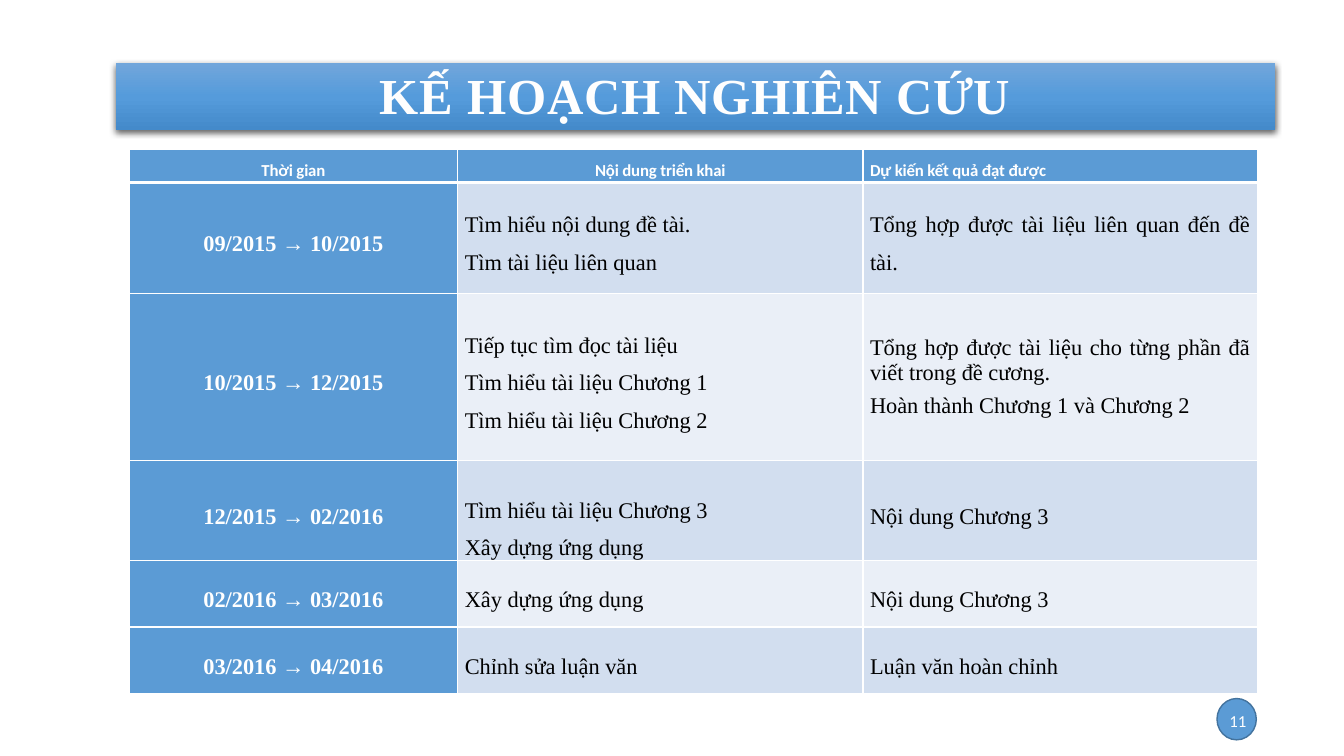
from lxml.etree import SubElement
from pptx import Presentation
from pptx.dml.color import RGBColor
from pptx.enum.shapes import MSO_SHAPE
from pptx.enum.text import MSO_ANCHOR, PP_ALIGN
from pptx.oxml import parse_xml
from pptx.oxml.ns import nsdecls, qn
from pptx.util import Inches, Pt

BLUE, WHITE, BLACK = "5B9BD5", "FFFFFF", "000000"
BANDS = ["D2DEEF", "EAEFF7"]
SERIF, SANS = "Times New Roman", "Calibri"

HEADINGS = ["Thời gian", "Nội dung triển khai", "Dự kiến kết quả đạt được"]
PLAN = [
    ("09/2015 → 10/2015",
     ["Tìm hiểu nội dung đề tài.", "Tìm tài liệu liên quan"],
     ["Tổng hợp được tài liệu liên quan đến đề tài."]),
    ("10/2015 → 12/2015",
     ["Tiếp tục tìm đọc tài liệu", "Tìm hiểu tài liệu Chương 1",
      "Tìm hiểu tài liệu Chương 2"],
     ["Tổng hợp được tài liệu cho từng phần đã viết trong đề cương.",
      "Hoàn thành Chương 1 và Chương 2"]),
    ("12/2015 → 02/2016",
     ["Tìm hiểu tài liệu Chương 3", "Xây dựng ứng dụng"],
     ["Nội dung Chương 3"]),
    ("02/2016 → 03/2016", ["Xây dựng ứng dụng"], ["Nội dung Chương 3"]),
    ("03/2016 → 04/2016", ["Chỉnh sửa luận văn"], ["Luận văn hoàn chỉnh"]),
]
COLUMN_WIDTHS = [3.26, 4.02, 3.91]
ROW_HEIGHTS = [0.33, 1.1, 1.66, 0.93, 0.66, 0.66]


def rgb(color):
    return RGBColor.from_string(color)


def write_paragraphs(frame, lines, size, color, font=SERIF, bold=False,
                     align=PP_ALIGN.LEFT, line_spacing=1.0, space_before=0):
    frame.word_wrap = True
    for index, line in enumerate(lines):
        paragraph = frame.add_paragraph() if index else frame.paragraphs[0]
        paragraph.alignment = align
        paragraph.line_spacing = line_spacing
        paragraph.space_before = Pt(space_before)
        run = paragraph.add_run()
        run.text = line
        run.font.name = font
        run.font.size = Pt(size)
        run.font.bold = bold
        run.font.color.rgb = rgb(color)


def space_letters(paragraph, points):
    for run in paragraph.runs:
        run.font._element.set("spc", str(round(points * 100)))


def line_xml(tag, color, points):
    return parse_xml(
        f'<a:{tag} {nsdecls("a")} w="{Pt(points)}"><a:solidFill>'
        f'<a:srgbClr val="{color}"/></a:solidFill></a:{tag}>')


def fill_gradient(shape, stops):
    shape.fill.gradient()
    shape.fill.gradient_angle = 270
    stop_list = shape._element.spPr.find(".//" + qn("a:gsLst"))
    for stop in list(stop_list):
        stop_list.remove(stop)
    for position, color in stops:
        stop = SubElement(stop_list, qn("a:gs"), pos=str(position * 1000))
        SubElement(stop, qn("a:srgbClr"), val=color)


def add_drop_shadow(shape):
    shape.shadow.inherit = False
    effects = shape._element.spPr.find(qn("a:effectLst"))
    effects.append(parse_xml(
        f'<a:outerShdw {nsdecls("a")} blurRad="{Pt(4.5)}" dist="{Pt(1.5)}" '
        'dir="5400000" algn="ctr" rotWithShape="0"><a:srgbClr val="000000">'
        '<a:alpha val="63000"/></a:srgbClr></a:outerShdw>'))


def add_title_banner(slide, title):
    banner = slide.shapes.add_shape(MSO_SHAPE.RECTANGLE, Inches(1.15),
                                    Inches(0.63), Inches(11.5), Inches(0.66))
    fill_gradient(banner, [(0, "71A6DB"), (50, "559BDB"), (100, "448ACA")])
    banner.line.fill.background()
    add_drop_shadow(banner)
    frame = banner.text_frame
    frame.vertical_anchor = MSO_ANCHOR.BOTTOM
    write_paragraphs(frame, [title], 36, "FEFEFE", bold=True,
                     align=PP_ALIGN.CENTER, line_spacing=0.9)
    paragraph = frame.paragraphs[0]
    space_letters(paragraph, 0.5)
    paragraph.runs[0].font._element.insert(0, line_xml("ln", BLUE, 0.75))


def add_page_number(slide, number):
    circle = slide.shapes.add_shape(MSO_SHAPE.OVAL, Inches(12.07),
                                    Inches(6.93), Inches(0.39), Inches(0.41))
    circle.shadow.inherit = False
    circle.fill.solid()
    circle.fill.fore_color.rgb = rgb(BLUE)
    circle.line.color.rgb = rgb("43739E")
    circle.line.width = Pt(1)
    box = slide.shapes.add_textbox(Inches(9.46), Inches(6.95),
                                   Inches(3), Inches(0.4))
    box.text_frame.vertical_anchor = MSO_ANCHOR.MIDDLE
    write_paragraphs(box.text_frame, [number], 12, WHITE, font=SANS,
                     align=PP_ALIGN.RIGHT)


def style_cell(cell, color, top=1, bottom=1):
    """Set fill, margins and white borders; top and bottom are in points."""
    cell.fill.solid()
    cell.fill.fore_color.rgb = rgb(color)
    cell.vertical_anchor = MSO_ANCHOR.MIDDLE
    cell.margin_left = cell.margin_right = Inches(0.07)
    cell.margin_top = cell.margin_bottom = 0
    borders = [("lnL", 1), ("lnR", 1), ("lnT", top), ("lnB", bottom)]
    for index, (tag, points) in enumerate(borders):
        cell._tc.get_or_add_tcPr().insert(index, line_xml(tag, WHITE, points))


def add_plan_table(slide):
    table = slide.shapes.add_table(
        len(ROW_HEIGHTS), len(COLUMN_WIDTHS), Inches(1.28), Inches(1.48),
        Inches(sum(COLUMN_WIDTHS)), Inches(sum(ROW_HEIGHTS))).table
    for column, width in zip(table.columns, COLUMN_WIDTHS):
        column.width = Inches(width)
    for row, height in zip(table.rows, ROW_HEIGHTS):
        row.height = Inches(height)

    alignments = [PP_ALIGN.CENTER, PP_ALIGN.CENTER, PP_ALIGN.LEFT]
    for column, (heading, align) in enumerate(zip(HEADINGS, alignments)):
        cell = table.cell(0, column)
        style_cell(cell, BLUE, bottom=3)
        write_paragraphs(cell.text_frame, [heading], 12, WHITE, font=SANS,
                         bold=True, align=align, line_spacing=1.5)
        space_letters(cell.text_frame.paragraphs[0], -0.1)

    for row, (period, tasks, results) in enumerate(PLAN, start=1):
        band = BANDS[(row - 1) % 2]
        period_cell, task_cell, result_cell = table.rows[row].cells
        for cell, color in ((period_cell, BLUE), (task_cell, band),
                            (result_cell, band)):
            style_cell(cell, color, top=3 if row == 1 else 1)
        write_paragraphs(period_cell.text_frame, [period], 16, WHITE,
                         bold=True, align=PP_ALIGN.CENTER, line_spacing=1.5)
        write_paragraphs(task_cell.text_frame, tasks, 16, BLACK,
                         line_spacing=1.5)
        several = len(results) > 1
        write_paragraphs(result_cell.text_frame, results, 16, BLACK,
                         align=PP_ALIGN.JUSTIFY,
                         line_spacing=1.0 if several else 1.5,
                         space_before=6 if several else 0)
    table.cell(3, 1).margin_top = Inches(0.25)


def main():
    presentation = Presentation()
    presentation.slide_width = Inches(13.33)
    presentation.slide_height = Inches(7.5)
    slide = presentation.slides.add_slide(presentation.slide_layouts[6])
    add_title_banner(slide, "KẾ HOẠCH NGHIÊN CỨU")
    add_plan_table(slide)
    add_page_number(slide, "11")
    presentation.save("out.pptx")


if __name__ == "__main__":
    main()
